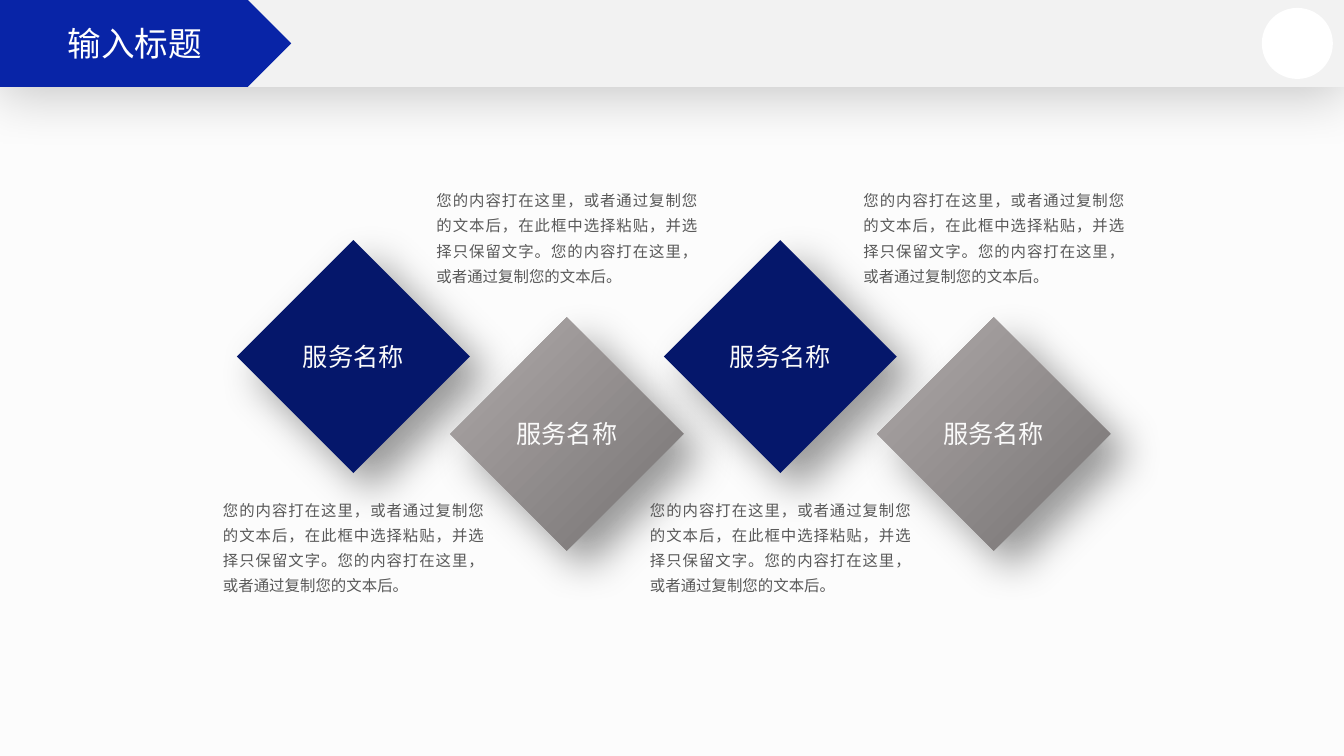
from dataclasses import dataclass

from lxml import etree
from pptx import Presentation
from pptx.dml.color import RGBColor
from pptx.enum.shapes import MSO_SHAPE
from pptx.enum.text import MSO_ANCHOR, MSO_AUTO_SIZE, PP_ALIGN
from pptx.oxml.ns import qn
from pptx.util import Cm, Pt

RECT, OVAL = MSO_SHAPE.RECTANGLE, MSO_SHAPE.OVAL
DIAMOND, PENTAGON = MSO_SHAPE.DIAMOND, MSO_SHAPE.PENTAGON
CENTER, JUSTIFY = PP_ALIGN.CENTER, PP_ALIGN.JUSTIFY
TOP, MIDDLE = MSO_ANCHOR.TOP, MSO_ANCHOR.MIDDLE
GROW = MSO_AUTO_SIZE.SHAPE_TO_FIT_TEXT

FONT = "Noto Sans CJK SC"
COLORS = {
    "page": "FCFCFC", "band": "F2F2F2", "title": "0824A7", "navy": "05176B",
    "gray_light": "AFABAB", "gray_dark": "767171", "white": "FFFFFF",
    "label": "FAFAFA", "body": "595959", "shadow": "000000",
}
BODY = ("您的内容打在这里，或者通过复制您的文本后，在此框中选择粘贴，并选择只保留文字。"
        "您的内容打在这里，或者通过复制您的文本后。")

# Layout in centimetres
SLIDE_W, SLIDE_H, BAND_H = 33.87, 19.05, 2.19
PITCH = 5.38
DIAMOND_X, DIAMOND_SIZE = 5.97, 5.87
NOTE_X, NOTE_W, NOTE_H = 5.62, 6.58, 2.57


@dataclass(frozen=True)
class Shadow:
    alpha: int
    blur: float
    dist: float
    angle: int


@dataclass(frozen=True)
class Service:
    name: str
    fill: tuple[str, ...]
    diamond_y: float
    note_y: float


BAND_SHADOW = Shadow(alpha=20, blur=38, dist=7, angle=90)
DIAMOND_SHADOW = Shadow(alpha=40, blur=30, dist=18, angle=45)
HIGH = Service("服务名称", ("navy",), 6.05, 12.45)
LOW = Service("服务名称", ("gray_light", "gray_dark"), 8.0, 4.65)
SERVICES = [HIGH, LOW, HIGH, LOW]


def rgb(name: str) -> RGBColor:
    return RGBColor.from_string(COLORS[name])


def add_shadow(s, shadow: Shadow) -> None:
    effects = s._element.spPr.find(qn("a:effectLst"))
    outer = etree.SubElement(
        effects, qn("a:outerShdw"), blurRad=str(Pt(shadow.blur)),
        dist=str(Pt(shadow.dist)), dir=str(shadow.angle * 60000),
        algn="t" if shadow.angle == 90 else "tl", rotWithShape="0")
    color = etree.SubElement(outer, qn("a:srgbClr"), val=COLORS["shadow"])
    etree.SubElement(color, qn("a:alpha"), val=str(shadow.alpha * 1000))


def add_box(slide, kind, x: float, y: float, w: float, h: float,
            fill: tuple[str, ...], shadow: Shadow | None = None):
    s = slide.shapes.add_shape(kind, Cm(x), Cm(y), Cm(w), Cm(h))
    s.shadow.inherit = False
    s.line.fill.background()
    if len(fill) == 1:
        s.fill.solid()
        s.fill.fore_color.rgb = rgb(fill[0])
    else:
        s.fill.gradient()
        s.fill.gradient_angle = 315
        for stop, name in zip(s.fill.gradient_stops, fill):
            stop.color.rgb = rgb(name)
    if shadow:
        add_shadow(s, shadow)
    return s


def set_text(s, text: str, *, size: float, color: str, align=CENTER,
             anchor=MIDDLE, line: float | None = None,
             after: float | None = None) -> None:
    tf = s.text_frame
    tf.word_wrap = True
    tf.vertical_anchor = anchor
    tf.margin_left = tf.margin_right = tf.margin_top = tf.margin_bottom = 0
    p = tf.paragraphs[0]
    p.alignment = align
    if line is not None:
        p.line_spacing = Pt(line)
    if after is not None:
        p.space_after = Pt(after)
    r = p.add_run()
    r.text = text
    r.font.size = Pt(size)
    r.font.color.rgb = rgb(color)
    r.font.name = FONT
    etree.SubElement(r.font._element, qn("a:ea"), typeface=FONT)


def main() -> None:
    prs = Presentation()
    prs.slide_width, prs.slide_height = Cm(SLIDE_W), Cm(SLIDE_H)
    slide = prs.slides.add_slide(prs.slide_layouts[6])

    # Page and header band
    slide.background.fill.solid()
    slide.background.fill.fore_color.rgb = rgb("page")
    add_box(slide, RECT, 0, 0, SLIDE_W, BAND_H, ("band",), BAND_SHADOW)

    # Service diamonds
    for i, service in enumerate(SERVICES):
        s = add_box(slide, DIAMOND, DIAMOND_X + i * PITCH, service.diamond_y,
                    DIAMOND_SIZE, DIAMOND_SIZE, service.fill, DIAMOND_SHADOW)
        set_text(s, service.name, size=18, color="label")

    # Descriptions
    for i, service in enumerate(SERVICES):
        s = slide.shapes.add_textbox(Cm(NOTE_X + i * PITCH), Cm(service.note_y),
                                     Cm(NOTE_W), Cm(NOTE_H))
        set_text(s, BODY, size=11, color="body", align=JUSTIFY, anchor=TOP,
                 line=18, after=10)
        s.text_frame.auto_size = GROW

    # Header badge and title
    add_box(slide, OVAL, 31.8, 0.2, 1.79, 1.79, ("white",))
    s = add_box(slide, PENTAGON, 0, 0, 7.34, BAND_H, ("title",))
    set_text(s, "输入标题", size=24, color="white")

    prs.save("out.pptx")


if __name__ == "__main__":
    main()
